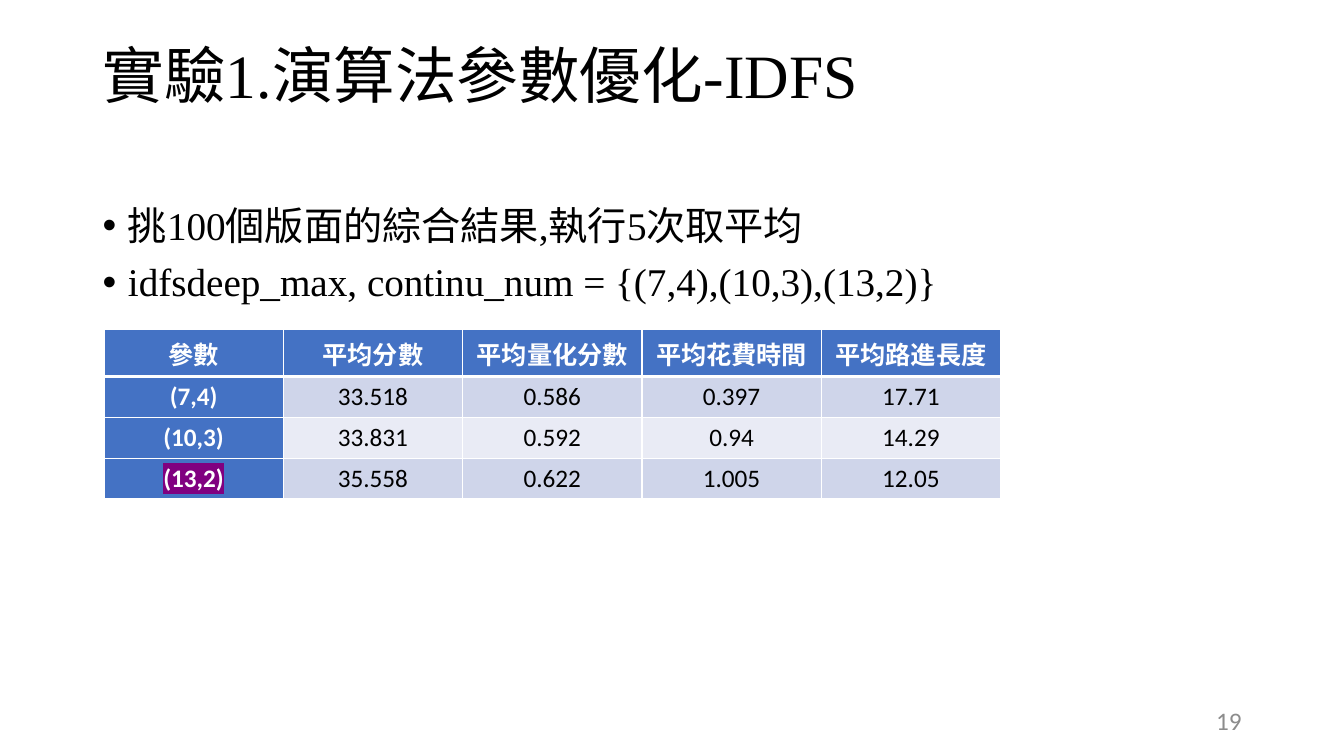
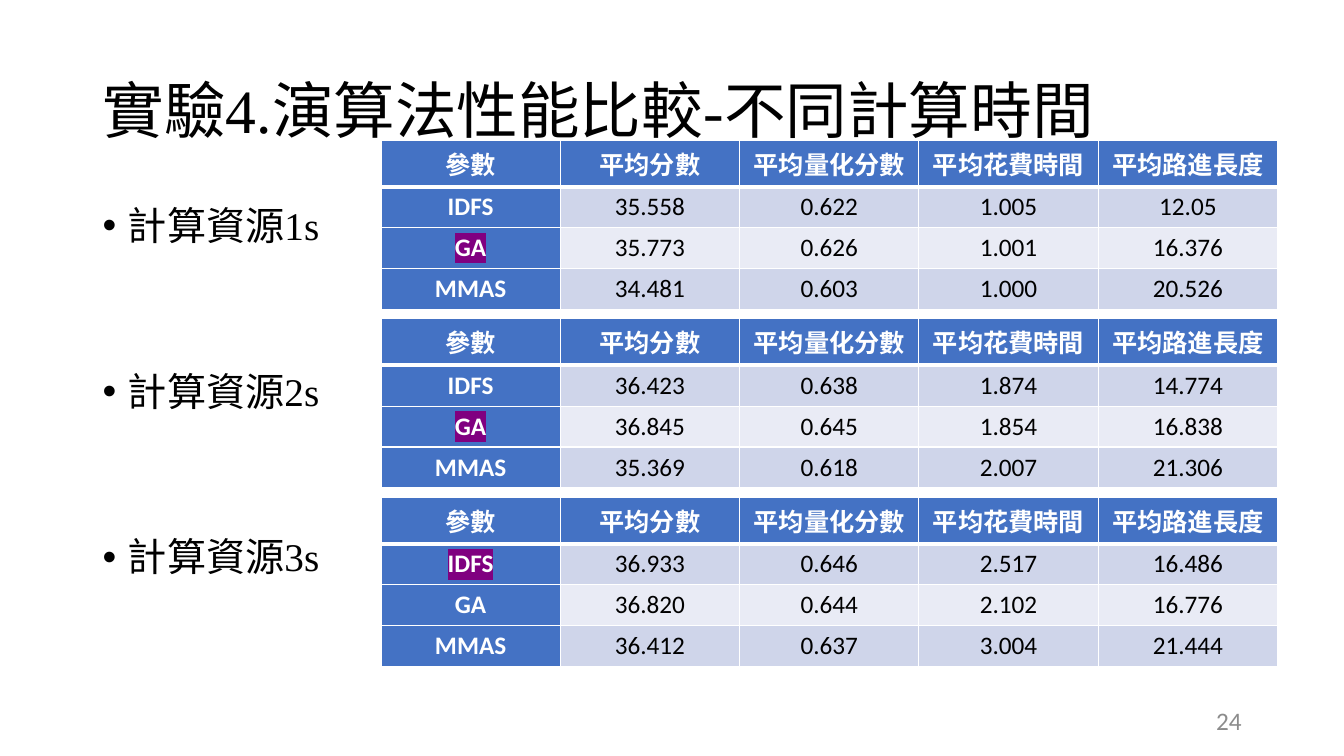
from lxml import etree
from pptx import Presentation
from pptx import util as u
from pptx.dml.color import RGBColor
from pptx.enum import text
from pptx.oxml import ns

COLORS = {
    "text": "000000",
    "page": "8C8C8C",
    "white": "FFFFFF",
    "header": "4472C4",
    "odd": "CFD5EA",
    "even": "E9EBF5",
    "best": "800080",
}
HEADINGS = ["參數", "平均分數", "平均量化分數", "平均花費時間", "平均路進長度"]
IDFS_ROWS = [
    ["(7,4)", "33.518", "0.586", "0.397", "17.71"],
    ["(10,3)", "33.831", "0.592", "0.94", "14.29"],
    ["(13,2)", "35.558", "0.622", "1.005", "12.05"],
]
TIME_TABLES = [
    ("GA", [
        ["IDFS", "35.558", "0.622", "1.005", "12.05"],
        ["GA", "35.773", "0.626", "1.001", "16.376"],
        ["MMAS", "34.481", "0.603", "1.000", "20.526"],
    ]),
    ("GA", [
        ["IDFS", "36.423", "0.638", "1.874", "14.774"],
        ["GA", "36.845", "0.645", "1.854", "16.838"],
        ["MMAS", "35.369", "0.618", "2.007", "21.306"],
    ]),
    ("IDFS", [
        ["IDFS", "36.933", "0.646", "2.517", "16.486"],
        ["GA", "36.820", "0.644", "2.102", "16.776"],
        ["MMAS", "36.412", "0.637", "3.004", "21.444"],
    ]),
]


class Deck:
    serif = "Times New Roman"
    sans = "Calibri"
    left = 2.33
    width = 29.21
    column_width = 4.52
    row_height = 1.03

    def __init__(self):
        self.presentation = Presentation()
        self.presentation.slide_width = u.Cm(33.87)
        self.presentation.slide_height = u.Cm(19.05)
        self.slide = None

    def new_slide(self, number):
        layout = self.presentation.slide_layouts[1]
        self.slide = self.presentation.slides.add_slide(layout)
        self.page_number(number)

    def add_run(self, paragraph, content, size, font, color="text", bold=False):
        run = paragraph.add_run()
        run.text = content
        run.font.size = u.Pt(size)
        run.font.name = font
        run.font.bold = bold
        run.font.color.rgb = RGBColor.from_string(COLORS[color])
        return run

    def place(self, shape, left, top, width, height):
        shape.left, shape.top = u.Cm(left), u.Cm(top)
        shape.width, shape.height = u.Cm(width), u.Cm(height)
        shape.text_frame.word_wrap = True
        shape.text_frame.auto_size = text.MSO_AUTO_SIZE.NONE
        return shape.text_frame

    def title(self, content, anchor=text.MSO_ANCHOR.MIDDLE):
        frame = self.place(self.slide.shapes.title, self.left, 1.01, self.width, 3.68)
        frame.vertical_anchor = anchor
        paragraph = frame.paragraphs[0]
        paragraph.alignment = text.PP_ALIGN.LEFT
        paragraph.line_spacing = 0.9
        self.add_run(paragraph, content, 44, self.serif)

    def bullets(self, items, gap=10):
        frame = self.place(self.slide.placeholders[1], self.left, 5.08, self.width, 12.09)
        for index, item in enumerate(items):
            paragraph = frame.add_paragraph() if index else frame.paragraphs[0]
            paragraph.line_spacing = 0.9
            paragraph.space_before = u.Pt(gap if index else 10)
            properties = paragraph._p.get_or_add_pPr()
            properties.set("marL", str(u.Cm(0.64)))
            properties.set("indent", str(-u.Cm(0.64)))
            self.add_run(paragraph, item, 28, self.serif)

    def page_number(self, number):
        box = self.slide.shapes.add_textbox(0, 0, 0, 0)
        frame = self.place(box, 23.92, 17.65, 7.62, 1.02)
        frame.vertical_anchor = text.MSO_ANCHOR.MIDDLE
        paragraph = frame.paragraphs[0]
        paragraph.alignment = text.PP_ALIGN.RIGHT
        self.add_run(paragraph, str(number), 18, self.sans, "page")

    def table(self, left, top, rows, best):
        rows = [HEADINGS] + rows
        table = self.slide.shapes.add_table(
            len(rows), len(HEADINGS), u.Cm(left), u.Cm(top),
            u.Cm(self.column_width * len(HEADINGS)),
            u.Cm(self.row_height * len(rows))).table
        table.first_col = True
        for column in table.columns:
            column.width = u.Cm(self.column_width)
        for row_index, values in enumerate(rows):
            table.rows[row_index].height = u.Cm(self.row_height)
            band = "odd" if row_index % 2 else "even"
            for column_index, value in enumerate(values):
                heading = row_index == 0 or column_index == 0
                cell = table.cell(row_index, column_index)
                cell.fill.solid()
                fill = COLORS["header" if heading else band]
                cell.fill.fore_color.rgb = RGBColor.from_string(fill)
                self.borders(cell, row_index)
                paragraph = cell.text_frame.paragraphs[0]
                paragraph.alignment = text.PP_ALIGN.CENTER
                run = self.add_run(paragraph, value, 18, self.sans,
                                   "white" if heading else "text", heading)
                if value == best:
                    self.highlight(run)

    def borders(self, cell, row_index):
        widths = {
            "lnL": 1,
            "lnR": 1,
            "lnT": 3 if row_index == 1 else 1,
            "lnB": 3 if row_index == 0 else 1,
        }
        properties = cell._tc.get_or_add_tcPr()
        for position, (side, width) in enumerate(widths.items()):
            line = etree.Element(ns.qn("a:" + side), w=str(u.Pt(width)))
            fill = etree.SubElement(line, ns.qn("a:solidFill"))
            etree.SubElement(fill, ns.qn("a:srgbClr"), val=COLORS["white"])
            properties.insert(position, line)

    def highlight(self, run):
        mark = etree.Element(ns.qn("a:highlight"))
        etree.SubElement(mark, ns.qn("a:srgbClr"), val=COLORS["best"])
        run._r.rPr.find(ns.qn("a:solidFill")).addnext(mark)


def main():
    deck = Deck()

    deck.new_slide(19)
    deck.title("實驗1.演算法參數優化-IDFS", text.MSO_ANCHOR.TOP)
    deck.bullets(["挑100個版面的綜合結果,執行5次取平均",
                  "idfsdeep_max, continu_num = {(7,4),(10,3),(13,2)}"])
    deck.table(2.62, 8.31, IDFS_ROWS, "(13,2)")

    deck.new_slide(24)
    deck.title("實驗4.演算法性能比較-不同計算時間")
    deck.bullets([f"計算資源{seconds}s" for seconds in (1, 2, 3)], gap=88)
    for index, (best, rows) in enumerate(TIME_TABLES):
        deck.table(9.6, 3.53 + 4.5 * index, rows, best)

    deck.presentation.save("out.pptx")


if __name__ == "__main__":
    main()
